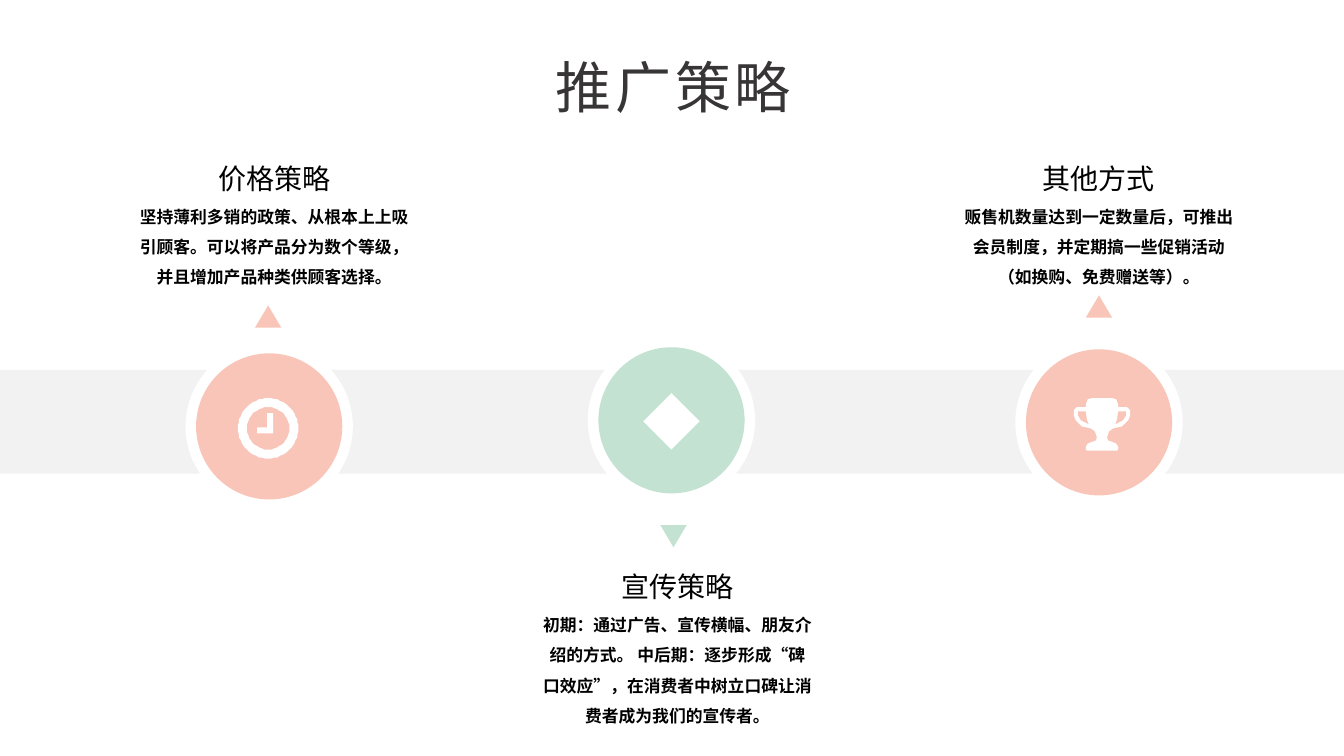
from math import cos, pi, sin

from lxml.etree import SubElement
from pptx import Presentation
from pptx.dml.color import RGBColor
from pptx.enum.shapes import MSO_SHAPE as Preset
from pptx.enum.text import MSO_ANCHOR as Anchor, PP_ALIGN as Align
from pptx.oxml.ns import qn
from pptx.util import Inches, Pt

FONT = "Noto Sans CJK SC"
PINK, GREEN, WHITE, GREY = "F9C5B8", "C3E2D2", "FFFFFF", "F2F2F2"
BLACK, CHARCOAL = "000000", "373536"
TITLE = "推广策略"


def mirror(points):
    return [(-x, y) for x, y in points]


def ring(radius, count=60):
    angles = [2 * pi * step / count for step in range(count)]
    return [(radius * cos(angle), radius * sin(angle)) for angle in angles]


CLOCK_HAND = [(-11, -1), (-1, -1), (-1, -15), (5, -15), (5, 5), (-11, 5)]
CLOCK = [ring(30), ring(21), CLOCK_HAND]

DIAMOND = [[(0, -28), (28, 0), (0, 28), (-28, 0)]]

TROPHY_RIGHT = [(0, -26), (10, -26), (14, -25), (16, -20), (16, -17),
                (25, -17), (28, -14), (28, -9), (26, -4), (20, 2), (11, 4),
                (7, 7), (5, 13), (6, 16), (9, 17), (14, 19), (16, 22),
                (16, 25), (15, 26), (0, 26)]
TROPHY_HANDLE = [(16, -13), (24, -13), (24, -9), (21, -4), (13, 0), (15, -5)]
TROPHY = [TROPHY_RIGHT + mirror(TROPHY_RIGHT)[::-1],
          TROPHY_HANDLE, mirror(TROPHY_HANDLE)]

STRATEGIES = [
    dict(heading="价格策略",
         body="坚持薄利多销的政策、从根本上上吸引顾客。可以将产品分为数个等级，并且增加产品种类供顾客选择。",
         color=PINK, badge=(2.67, 4.23), icon=CLOCK, icon_center=(2.66, 4.25),
         arrow=(2.66, 3.03), turn=0, text=(2.72, 1.6), body_height=0.91),
    dict(heading="宣传策略",
         body="初期：通过广告、宣传横幅、朋友介绍的方式。 中后期：逐步形成“碑口效应”，在消费者中树立口碑让消费者成为我们的宣传者。",
         color=GREEN, badge=(6.66, 4.17), icon=DIAMOND, icon_center=(6.66, 4.18),
         arrow=(6.68, 5.21), turn=180, text=(6.72, 5.65), body_height=1.21),
    dict(heading="其他方式",
         body="贩售机数量达到一定数量后，可推出会员制度，并定期搞一些促销活动（如换购、免费赠送等）。",
         color=PINK, badge=(10.9, 4.19), icon=TROPHY, icon_center=(10.93, 4.21),
         arrow=(10.9, 2.93), turn=0, text=(10.9, 1.6), body_height=0.91),
]


def paint(shape, color):
    shape.shadow.inherit = False
    shape.fill.solid()
    shape.fill.fore_color.rgb = RGBColor.from_string(color)
    shape.line.fill.background()


def add_preset(shapes, preset, left, top, width, height, color):
    shape = shapes.add_shape(preset, Inches(left), Inches(top),
                             Inches(width), Inches(height))
    paint(shape, color)
    return shape


def add_circle(shapes, center, diameter, color):
    x, y = center
    add_preset(shapes, Preset.OVAL, x - diameter / 2, y - diameter / 2,
               diameter, diameter, color)


def add_icon(shapes, contours, center):
    x, y = center[0] * 100, center[1] * 100
    placed = [[(x + dx, y + dy) for dx, dy in contour] for contour in contours]
    builder = shapes.build_freeform(*placed[0][0], scale=Inches(0.01))
    for contour in placed:
        builder.move_to(*contour[0])
        builder.add_line_segments(contour[1:], close=True)
    paint(builder.convert_to_shape(), WHITE)


def add_text(shapes, text, center, top, width, height, size, color,
             bold=False, line_spacing=None, tracking=None, margin=0):
    box = shapes.add_textbox(Inches(center - width / 2), Inches(top),
                             Inches(width), Inches(height))
    frame = box.text_frame
    frame.word_wrap = True
    frame.vertical_anchor = Anchor.TOP
    frame.margin_left = frame.margin_right = Inches(margin * 2)
    frame.margin_top = frame.margin_bottom = Inches(margin)
    frame.text = text
    paragraph = frame.paragraphs[0]
    paragraph.alignment = Align.CENTER
    paragraph.line_spacing = line_spacing
    run = paragraph.runs[0]
    run.font.name = FONT
    run.font.size = Pt(size)
    run.font.bold = bold
    run.font.color.rgb = RGBColor.from_string(color)
    properties = run.font._element
    properties.set("lang", "zh-CN")
    SubElement(properties, qn("a:ea")).set("typeface", FONT)
    if tracking:
        properties.set("spc", str(tracking))


presentation = Presentation()
presentation.slide_width = Inches(13.33)
presentation.slide_height = Inches(7.5)
slide = presentation.slides.add_slide(presentation.slide_layouts[6])

add_preset(slide.shapes, Preset.RECTANGLE, 0, 3.67, 13.33, 1.03, GREY)
add_text(slide.shapes, TITLE, 6.68, 0.47, 3.26, 0.77, 40, CHARCOAL,
         tracking=270, margin=0.05)

for strategy in STRATEGIES:
    arrow_x, arrow_top = strategy["arrow"]
    arrow = add_preset(slide.shapes, Preset.ISOSCELES_TRIANGLE,
                       arrow_x - 0.13, arrow_top, 0.26, 0.22, strategy["color"])
    arrow.rotation = strategy["turn"]

    badge = slide.shapes.add_group_shape().shapes
    add_circle(badge, strategy["badge"], 1.66, WHITE)
    add_circle(badge, strategy["badge"], 1.45, strategy["color"])
    add_icon(badge, strategy["icon"], strategy["icon_center"])

    text_x, text_top = strategy["text"]
    add_text(slide.shapes, strategy["heading"], text_x, text_top,
             1.56, 0.34, 20, BLACK)
    add_text(slide.shapes, strategy["body"], text_x, text_top + 0.35,
             2.67, strategy["body_height"], 12, BLACK,
             bold=True, line_spacing=1.5)

presentation.save("out.pptx")
